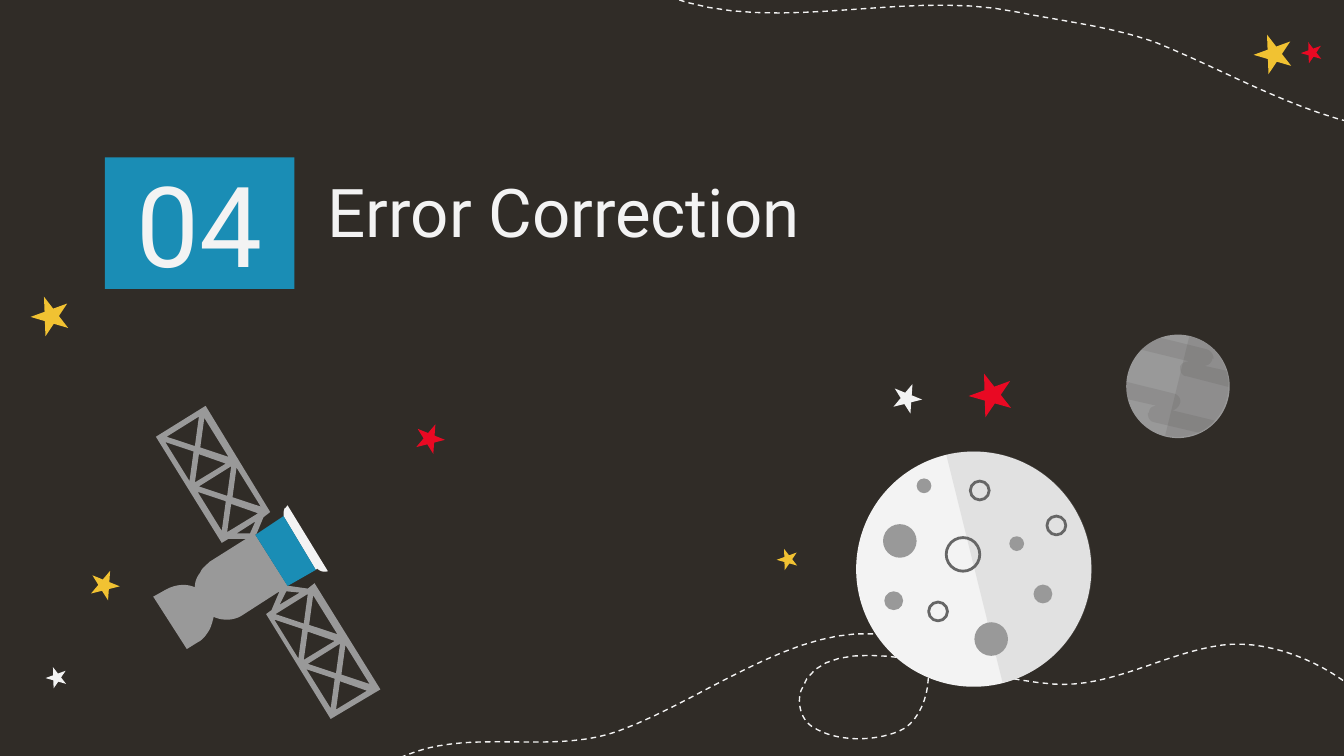
from collections import namedtuple
from dataclasses import dataclass
from itertools import product

from lxml.etree import SubElement
from pptx import Presentation
from pptx.dml.color import RGBColor as Color
from pptx.enum.dml import MSO_LINE as Dash
from pptx.enum.shapes import MSO_SHAPE as Preset
from pptx.enum.text import MSO_ANCHOR as Anchor, PP_ALIGN as Align
from pptx.oxml.ns import qn
from pptx.util import Pt

PX = 9144
SLIDE_WIDTH = 1000 * PX
SLIDE_HEIGHT = SLIDE_WIDTH * 9 // 16
Box = namedtuple("Box", "left top width height")


@dataclass(frozen=True)
class Theme:
    """Colours and type of the slide."""
    night: str = "302C27"
    light: str = "F3F3F3"
    blue: str = "1A8DB5"
    red: str = "E90923"
    yellow: str = "F1C232"
    gray: str = "999999"
    ring: str = "666666"
    font: str = "Roboto"
    number_size: int = 60
    title_size: int = 36


THEME = Theme()


def set_values(target, values):
    """Set each named attribute of the target."""
    for name, value in values.items():
        setattr(target, name, value)


def paint(shape, fill=None, line=None, weight=1.5, opacity=None):
    """Give a shape its fill and line, without a shadow."""
    shape.shadow.inherit = False
    if fill:
        shape.fill.solid()
        shape.fill.fore_color.rgb = Color.from_string(fill)
    else:
        shape.fill.background()
    if opacity:
        color = shape.element.find(f".//{qn('a:srgbClr')}")
        SubElement(color, qn("a:alpha"), val=str(opacity * 1000))
    if line:
        shape.line.color.rgb = Color.from_string(line)
        shape.line.width = Pt(weight)
    else:
        shape.line.fill.background()
    return shape


def add_preset(slide, preset, box, **style):
    """Add a painted preset shape in a px box."""
    return paint(slide.shapes.add_shape(preset, *(length * PX for length in box)), **style)


def trace(path, steps=16):
    """Turn points and cubic curve steps in px into EMU points."""
    points = [path[0]]
    for step in path[1:]:
        if len(step) == 2:
            points.append(step)
            continue
        nodes = [points[-1], step[:2], step[2:4], step[4:]]
        for index in range(1, steps + 1):
            t = index / steps
            weights = ((1 - t) ** 3, 3 * t * (1 - t) ** 2, 3 * t * t * (1 - t), t ** 3)
            points.append(tuple(sum(w * node[axis] for w, node in zip(weights, nodes))
                                for axis in (0, 1)))
    return [(round(x * PX), round(y * PX)) for x, y in points]


def add_outline(slide, box, path, holes=(), closed=True, **style):
    """Add a freeform, with optional holes, relative to the box."""
    start, *points = trace(path)
    builder = slide.shapes.build_freeform(*start)
    builder.add_line_segments(points, close=closed)
    for hole in holes:
        start, *points = trace(hole)
        builder.move_to(*start)
        builder.add_line_segments(points, close=True)
    return paint(builder.convert_to_shape(box.left * PX, box.top * PX), **style)


def add_text(shape, text, size, **frame_values):
    """Write one paragraph of themed text in a shape."""
    frame = shape.text_frame
    margins = {f"margin_{side}": 10 * PX for side in ("left", "top", "right", "bottom")}
    set_values(frame, {"word_wrap": True, **margins, **frame_values})
    paragraph = frame.paragraphs[0]
    paragraph.text = text
    set_values(paragraph.font, {"name": THEME.font, "size": Pt(size)})
    paragraph.font.color.rgb = Color.from_string(THEME.light)
    return paragraph


def add_heading(slide, box):
    """Place the section number and its title."""
    badge = add_preset(slide, Preset.RECTANGLE, Box(box.left, box.top, 141, 98), fill=THEME.blue)
    number = add_text(badge, "04", THEME.number_size, vertical_anchor=Anchor.MIDDLE)
    number.alignment = Align.CENTER
    title = slide.shapes.add_textbox((box.left + 156) * PX, box.top * PX,
                                     (box.width - 156) * PX, box.height * PX)
    add_text(title, "Error Correction", THEME.title_size, vertical_anchor=Anchor.TOP)


def add_stars(slide, box):
    """Scatter the stars over the box."""
    small, medium, large, largest = (16, 15, -20), (22, 21, 22), (29, 28, -20), (33, 31, -20)
    stars = [
        (968, 31, small, THEME.red), (933, 25, large, THEME.yellow),
        (34, 496, small, THEME.light), (23, 220, large, THEME.yellow),
        (309, 315, medium, THEME.red), (578, 408, small, THEME.yellow),
        (721, 277, largest, THEME.red), (67, 424, medium, THEME.yellow),
        (664, 285, medium, THEME.light),
    ]
    for x, y, (width, height, turn), color in stars:
        star = add_preset(slide, Preset.STAR_5_POINT,
                          Box(box.left + x, box.top + y, width, height), fill=color)
        star.rotation = turn


def add_trail(slide, box, path):
    """Draw a dashed flight trail."""
    trail = add_outline(slide, box, path, closed=False, line=THEME.light, weight=0.75)
    trail.line.dash_style = Dash.DASH


def add_planet(slide, box):
    """Draw the striped gray planet."""
    add_preset(slide, Preset.OVAL, box, fill=THEME.gray)
    shade = [(47, 1), (29, 75), (49, 80, 70, 68, 75, 47), (80, 27, 68, 6, 47, 1)]
    lower_band = [(0, 35), (-1, 39, 0, 44, 1, 48), (23, 53), (20, 53, 17, 54, 17, 58),
                  (16, 58), (16, 61, 17, 64, 20, 65), (54, 73), (59, 71, 63, 68, 66, 64),
                  (33, 56), (36, 57, 39, 54, 40, 51), (41, 48, 39, 45, 36, 44)]
    upper_band = [(24, 2), (19, 4, 14, 7, 10, 11), (47, 20), (44, 20, 41, 21, 40, 24),
                  (40, 25), (40, 28, 42, 31, 45, 31), (76, 39), (77, 35, 76, 31, 75, 27),
                  (57, 23), (60, 24, 64, 21, 64, 18), (65, 18), (65, 15, 63, 12, 60, 11)]
    for path in (shade, lower_band, upper_band):
        add_outline(slide, box, path, fill=THEME.night, opacity=10)


def add_moon(slide, box):
    """Draw the moon with its shade, craters and rings."""
    add_preset(slide, Preset.OVAL, box, fill=THEME.light)
    shade = [(67, 2), (109, 172), (156, 161, 185, 113, 173, 66), (161, 19, 114, -9, 67, 2)]
    add_outline(slide, box, shade, fill=THEME.gray, opacity=20)
    craters = [(88, 127, 25), (132, 99, 14), (114, 63, 11), (21, 104, 14), (20, 54, 25),
               (45, 20, 11)]
    rings = [(142, 48, 14), (85, 22, 14), (54, 112, 14), (67, 64, 25)]
    for spots, style in ((craters, {"fill": THEME.gray}), (rings, {"line": THEME.ring})):
        for x, y, size in spots:
            add_preset(slide, Preset.OVAL, Box(box.left + x, box.top + y, size, size), **style)


def add_satellite(slide, box):
    """Draw the satellite with two latticed wings."""
    rim = [(130, 123), (100, 74), (99, 75, 99, 76, 98, 76), (97, 78, 97, 80, 97, 82),
           (121, 122), (122, 121), (124, 123, 127, 124, 130, 123)]
    body = [(169, 211), (120, 132), (115, 136), (101, 134), (100, 134), (76, 96), (77, 95),
            (82, 83), (87, 79), (39, 0), (2, 23), (51, 102), (56, 99), (69, 99), (42, 116),
            (39, 119, 36, 121, 35, 124), (32, 128, 31, 131, 31, 135),
            (24, 132, 16, 133, 9, 137), (0, 142), (25, 181), (33, 176),
            (37, 174, 39, 171, 41, 168), (43, 165, 44, 161, 45, 157),
            (51, 160, 60, 160, 66, 156), (94, 138), (88, 152), (84, 155), (132, 233)]
    band = [(121, 122), (97, 82), (76, 96), (100, 134)]
    necks = [[(109, 139), (94, 148), (99, 138)], [(72, 95), (62, 95), (76, 86)]]
    cell = [[(78, 80), (55, 94), (58, 73)], [(80, 75), (59, 68), (62, 46)],
            [(51, 93), (33, 64), (54, 71)], [(55, 67), (34, 60), (58, 45)]]
    lattice = [[(x + 81 * wing - 24 * row, y + 132 * wing - 37 * row) for x, y in triangle]
               for wing, row, triangle in product((0, 1), (0, 1), cell)]
    add_outline(slide, box, rim, fill=THEME.light)
    add_outline(slide, box, body, holes=necks + lattice, fill=THEME.gray)
    add_outline(slide, box, band, fill=THEME.blue)


def main():
    """Build the section slide and save it."""
    presentation = Presentation()
    set_values(presentation, {"slide_width": SLIDE_WIDTH, "slide_height": SLIDE_HEIGHT})
    slide = presentation.slides.add_slide(presentation.slide_layouts[6])
    slide.background.fill.solid()
    slide.background.fill.fore_color.rgb = Color.from_string(THEME.night)
    lower_trail = [(793, 53), (767, 25, 721, 3, 681, 8), (638, 14, 599, 40, 556, 37),
                   (494, 33, 386, -12, 368, 42), (365, 51, 368, 64, 377, 69),
                   (394, 80, 422, 80, 441, 72), (464, 63, 472, 14, 449, 5),
                   (378, -20, 303, 46, 232, 72), (190, 87, 142, 75, 98, 83),
                   (64, 89, 34, 114, 0, 114)]
    upper_trail = [(0, 0), (27, 0, 47, 23, 70, 36), (107, 59, 184, 89, 199, 48),
                   (201, 42, 197, 32, 191, 29), (176, 23, 155, 30, 145, 42),
                   (134, 57, 146, 87, 162, 96), (244, 140, 349, 97, 440, 116),
                   (475, 123, 511, 127, 544, 139), (608, 165, 671, 205, 740, 205)]
    add_stars(slide, Box(0, 0, 1000, 562))
    add_trail(slide, Box(228, 472, 792, 114), lower_trail)
    add_trail(slide, Box(317, -107, 740, 205), upper_trail)
    add_heading(slide, Box(78, 117, 774, 140))
    add_planet(slide, Box(838, 249, 77, 77))
    add_moon(slide, Box(637, 336, 175, 175))
    add_satellite(slide, Box(114, 302, 169, 233))
    presentation.save("out.pptx")


if __name__ == "__main__":
    main()
